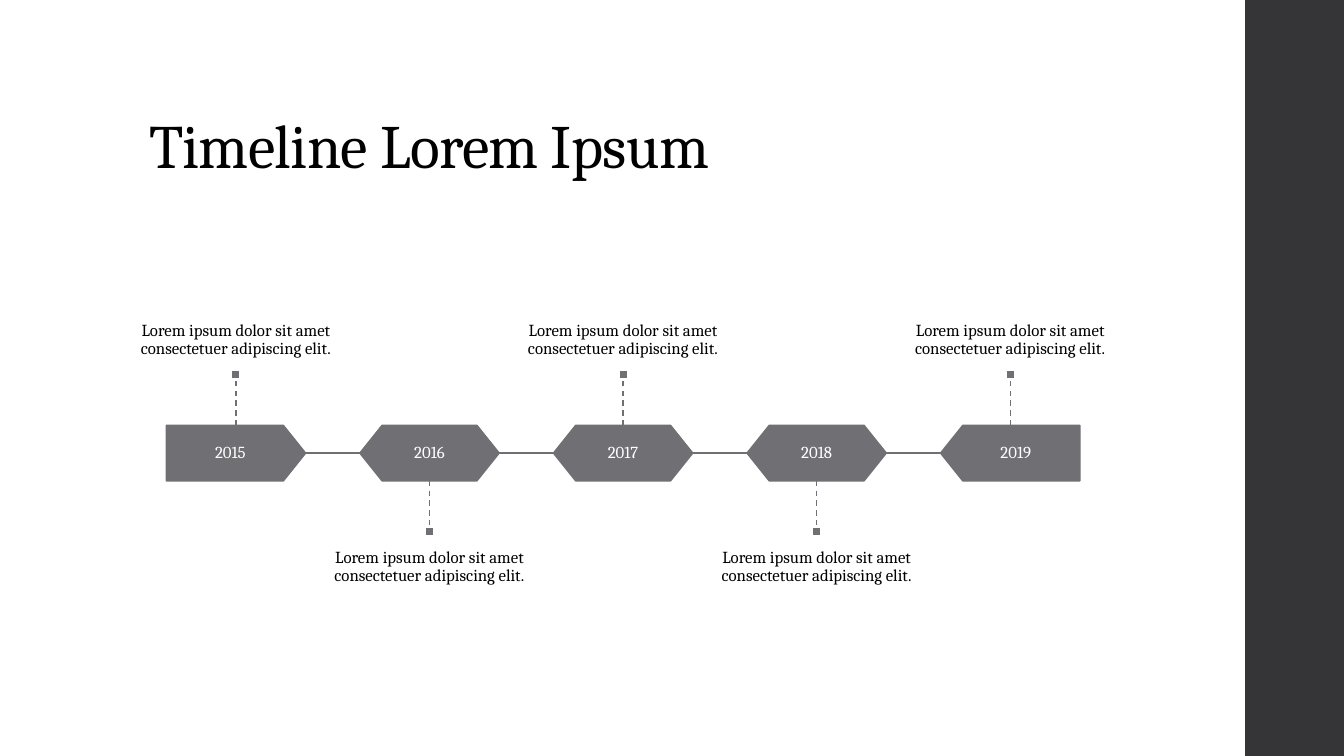
from pptx import Presentation
from pptx.dml.color import RGBColor
from pptx.enum.dml import MSO_LINE
from pptx.enum.shapes import MSO_CONNECTOR, MSO_SHAPE
from pptx.enum.text import MSO_ANCHOR, PP_ALIGN
from pptx.oxml.ns import qn
from pptx.util import Pt
from lxml.etree import SubElement

TITLE = "Timeline Lorem Ipsum"
CAPTION = "Lorem ipsum dolor sit amet consectetuer adipiscing elit."
MILESTONES = [
    ("2015", CAPTION),
    ("2016", CAPTION),
    ("2017", CAPTION),
    ("2018", CAPTION),
    ("2019", CAPTION),
]

FONT = "Cambria"
BLACK = RGBColor(0x00, 0x00, 0x00)
WHITE = RGBColor(0xFF, 0xFF, 0xFF)
GRAY = RGBColor(0x6F, 0x6F, 0x74)
CHARCOAL = RGBColor(0x35, 0x35, 0x37)

EMU_PER_PX = 9144
SLIDE_WIDTH, SLIDE_HEIGHT = 1333, 750
SIDEBAR_LEFT = 1235
FLAG_LEFT, FLAG_TOP, FLAG_WIDTH, FLAG_HEIGHT = 165, 422, 138, 55
STEP = 192
STEM, MARKER = 46, 9
CAPTION_WIDTH, CAPTION_HEIGHT = 192, 147
CAPTION_TOP_ABOVE, CAPTION_TOP_BELOW = 220, 533


def px(*lengths):
    return [round(length * EMU_PER_PX) for length in lengths]


def write(shape, text, size, color, align, anchor, insets, wrap=True):
    frame = shape.text_frame
    frame.text = text
    frame.word_wrap = wrap
    frame.vertical_anchor = anchor
    horizontal, vertical = px(*insets)
    frame.margin_left = frame.margin_right = horizontal
    frame.margin_top = frame.margin_bottom = vertical
    paragraph = frame.paragraphs[0]
    paragraph.alignment = align
    paragraph.line_spacing = 0.9
    run = paragraph.runs[0]
    run.font.name = FONT
    run.font.size = Pt(size)
    run.font.color.rgb = color
    return run


def add_block(slide, kind, box, fill, line=None, line_width=0):
    shape = slide.shapes.add_shape(kind, *px(*box))
    shape.shadow.inherit = False
    shape.fill.solid()
    shape.fill.fore_color.rgb = fill
    if line is None:
        shape.line.fill.background()
    else:
        shape.line.color.rgb = line
        shape.line.width = Pt(line_width)
    return shape


def add_line(slide, start, end, width):
    connector = slide.shapes.add_connector(MSO_CONNECTOR.STRAIGHT, *px(*start, *end))
    connector.line.color.rgb = GRAY
    connector.line.width = Pt(width)
    SubElement(connector._element.spPr, qn("a:effectLst"))
    return connector


def add_milestone(slide, index, year, caption):
    last = len(MILESTONES) - 1
    left = FLAG_LEFT + index * STEP
    center = left + FLAG_WIDTH / 2
    middle = FLAG_TOP + FLAG_HEIGHT / 2
    bottom = FLAG_TOP + FLAG_HEIGHT
    above = index % 2 == 0

    kind = MSO_SHAPE.PENTAGON if index in (0, last) else MSO_SHAPE.HEXAGON
    flag = add_block(slide, kind, (left, FLAG_TOP, FLAG_WIDTH, FLAG_HEIGHT), GRAY, GRAY, 1.1)
    flag.adjustments[0] = 0.4
    if index == last:
        flag._element.spPr.xfrm.set("flipH", "1")
    else:
        add_line(slide, (left + FLAG_WIDTH, middle), (left + STEP, middle), 1.1)
    write(flag, year, 12, WHITE, PP_ALIGN.CENTER, MSO_ANCHOR.MIDDLE, (0, 0), wrap=False)

    if above:
        stem_start, stem_end = FLAG_TOP, FLAG_TOP - STEM
        marker_top, marker_side = stem_end - MARKER, 2
        caption_top, anchor = CAPTION_TOP_ABOVE, MSO_ANCHOR.BOTTOM
    else:
        stem_start, stem_end = bottom, bottom + STEM
        marker_top, marker_side = stem_end, 0
        caption_top, anchor = CAPTION_TOP_BELOW, MSO_ANCHOR.TOP

    stem = add_line(slide, (center, stem_start), (center, stem_end), 1)
    stem.line.dash_style = MSO_LINE.DASH
    marker_box = (center - MARKER / 2, marker_top, MARKER, MARKER)
    marker = add_block(slide, MSO_SHAPE.RECTANGLE, marker_box, GRAY, WHITE, 1.35)
    stem.end_connect(marker, marker_side)

    caption_box = (center - CAPTION_WIDTH / 2, caption_top, CAPTION_WIDTH, CAPTION_HEIGHT)
    text_box = slide.shapes.add_textbox(*px(*caption_box))
    write(text_box, caption, 12, BLACK, PP_ALIGN.CENTER, anchor, (0, 12))


def main():
    presentation = Presentation()
    presentation.slide_width, presentation.slide_height = px(SLIDE_WIDTH, SLIDE_HEIGHT)
    slide = presentation.slides.add_slide(presentation.slide_layouts[6])

    sidebar = (SIDEBAR_LEFT, 0, SLIDE_WIDTH - SIDEBAR_LEFT, SLIDE_HEIGHT)
    add_block(slide, MSO_SHAPE.RECTANGLE, sidebar, CHARCOAL)

    title = slide.shapes.add_textbox(*px(138, 40, 1060, 145))
    run = write(title, TITLE, 44, BLACK, PP_ALIGN.LEFT, MSO_ANCHOR.BOTTOM, (10, 5))
    run.font._element.set("spc", "-50")

    for index, (year, caption) in enumerate(MILESTONES):
        add_milestone(slide, index, year, caption)

    presentation.save("out.pptx")


if __name__ == "__main__":
    main()
